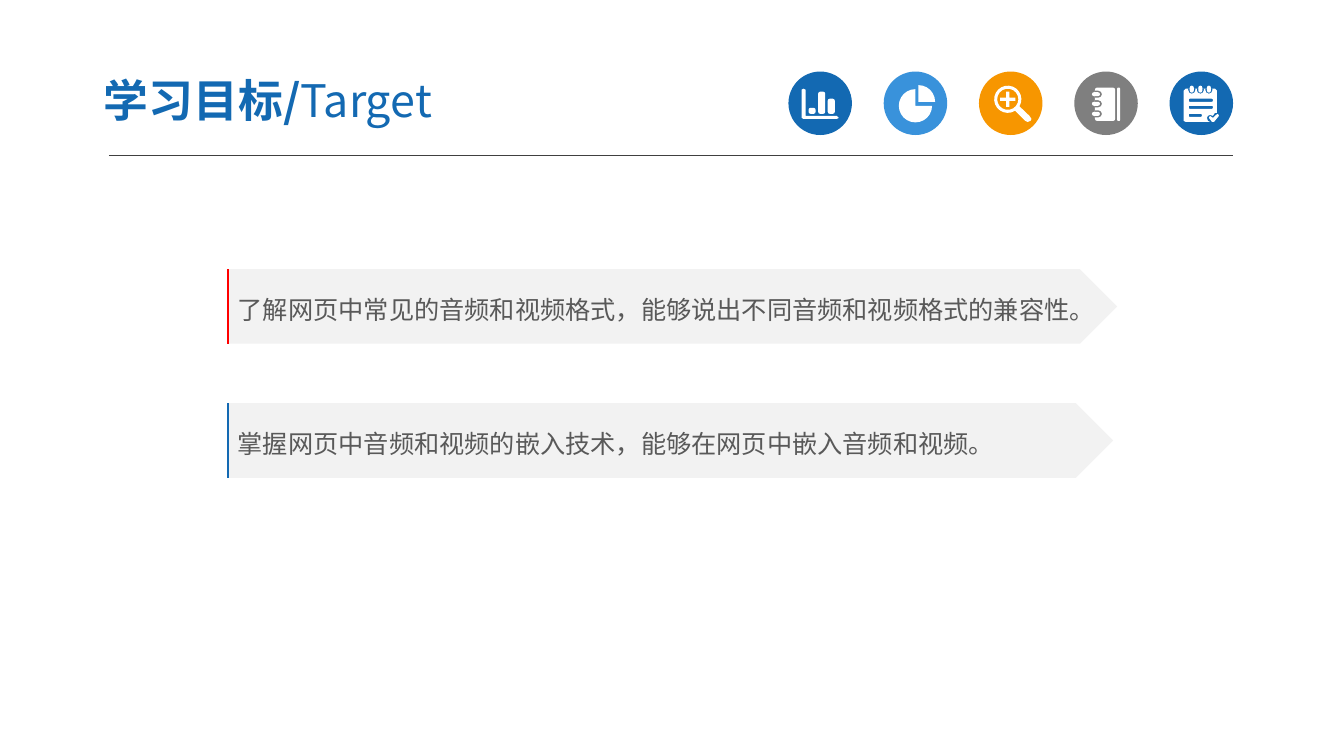
"""Build the learning-targets slide with its icon strip and two arrow bars."""
import math

import lxml.etree
import pptx
import pptx.dml.color
import pptx.enum.shapes
import pptx.enum.text
import pptx.oxml.ns
import pptx.util

Inches = pptx.util.Inches
Pt = pptx.util.Pt
RGBColor = pptx.dml.color.RGBColor
SHAPE = pptx.enum.shapes.MSO_SHAPE
qn = pptx.oxml.ns.qn

BLUE = RGBColor(0x13, 0x69, 0xB2)
SKY = RGBColor(0x39, 0x92, 0xDB)
ORANGE = RGBColor(0xF7, 0x96, 0x00)
GRAY = RGBColor(0x7F, 0x7F, 0x7F)
DARK = RGBColor(0x40, 0x40, 0x40)
RED = RGBColor(0xFF, 0x00, 0x00)
PALE = RGBColor(0xF2, 0xF2, 0xF2)
TEXT = RGBColor(0x59, 0x59, 0x59)
WHITE = RGBColor(0xFF, 0xFF, 0xFF)

FONT = "Noto Sans CJK SC"
BAR_HEIGHT = 0.74
TITLE_FRAME = {
    "margin_left": Inches(0.13), "margin_right": Inches(0.13),
    "margin_top": Inches(0.07), "margin_bottom": Inches(0.07),
    "vertical_anchor": pptx.enum.text.MSO_ANCHOR.MIDDLE,
    "auto_size": pptx.enum.text.MSO_AUTO_SIZE.NONE, "word_wrap": True,
}
BAR_FRAME = {"vertical_anchor": pptx.enum.text.MSO_ANCHOR.MIDDLE, "word_wrap": True}
LEFT = {"alignment": pptx.enum.text.PP_ALIGN.LEFT}
BAR_PARAGRAPH = {**LEFT, "line_spacing": 1.2}


def apply(target, values):
    """Set every attribute in values on target."""
    for name, value in values.items():
        setattr(target, name, value)


def add_run(p, text, size, color, bold=False):
    """Add a formatted run with Latin and East Asian fonts."""
    r = p.add_run()
    r.text = text
    apply(r.font, {"name": FONT, "size": Pt(size), "bold": bold})
    r.font.color.rgb = color
    ea = lxml.etree.SubElement(r.font._element, qn("a:ea"))
    ea.set("typeface", FONT)


def fill_flat(sp, color):
    """Give a shape a solid fill without line or shadow."""
    sp.shadow.inherit = False
    sp.fill.solid()
    sp.fill.fore_color.rgb = color
    sp.line.fill.background()


def add_shape(shapes, kind, box, color):
    """Add a flat filled preset shape."""
    sp = shapes.add_shape(kind, *map(Inches, box))
    fill_flat(sp, color)
    return sp


def add_outline(shapes, contours, close=True):
    """Add one freeform made of all the contours."""
    builder = None
    for contour in contours:
        points = [(Inches(x), Inches(y)) for x, y in contour]
        if builder is None:
            builder = shapes.build_freeform(*points[0])
        else:
            builder.move_to(*points[0])
        builder.add_line_segments(points[1:], close=close)
    return builder.convert_to_shape()


def arc(x, y, radius, start, end, steps):
    """Return points along an arc, clockwise in degrees from the right."""
    angles = [math.radians(start + (end - start) * i / steps) for i in range(steps + 1)]
    return [(x + radius * math.cos(a), y + radius * math.sin(a)) for a in angles]


def rounded(x, y, w, h, radius):
    """Return the contour of a rounded rectangle."""
    right, bottom = x + w - radius, y + h - radius
    corners = ((right, bottom), (x + radius, bottom), (x + radius, y + radius), (right, y + radius))
    return [point for i, corner in enumerate(corners)
            for point in arc(*corner, radius, 90 * i, 90 * i + 90, 2)]


def bars_contours():
    """Return the contours of the bar chart symbol."""
    axes = [(7.95, 0.89), (7.97, 0.88), (7.99, 0.89), (7.99, 1.15), (8.3, 1.15),
            (8.32, 1.17), (8.3, 1.18), (7.97, 1.18), (7.95, 1.17)]
    return [axes] + [rounded(8.02 + 0.095 * i, top, 0.07, 1.13 - top, 0.02)
                     for i, top in enumerate((1.07, 0.91, 0.98))]


def pie_contours():
    """Return the contours of the pie chart symbol."""
    return [[(9.08, 1.05)] + arc(9.08, 1.05, 0.165, 0, 270, 18),
            [(9.11, 1.01)] + arc(9.11, 1.01, 0.165, 270, 360, 6)]


def magnifier_contours():
    """Return the contours of the magnifier symbol."""
    x, y, arm, half = 9.995, 0.985, 0.075, 0.015
    handle = [(10.21, 1.15), (10.23, 1.18), (10.22, 1.2), (10.19, 1.21), (10.17, 1.2), (10.07, 1.1)]
    offsets = [(half, arm), (half, half), (arm, half)]
    plus = []
    for sx, sy in ((1, 1), (1, -1), (-1, -1), (-1, 1)):
        corner = offsets if sx == sy else offsets[::-1]
        plus += [(x + sx * dx, y + sy * dy) for dx, dy in corner]
    return [arc(x, y, 0.135, 59, 391, 20) + handle, arc(x, y, 0.105, 0, 340, 17), plus]


def notebook_contours():
    """Return the contours of the ring notebook symbol."""
    contours = [rounded(10.86, 0.87, 0.2, 0.33, 0.02), rounded(11.08, 0.87, 0.03, 0.33, 0.01)]
    for middle in (0.935, 1.03, 1.13):
        notch = [(10.86, middle - 0.035)] + arc(10.895, middle, 0.035, -90, 90, 4)
        contours += [notch + [(10.86, middle + 0.035)],
                     rounded(10.83, middle - 0.02, 0.08, 0.04, 0.02)]
    return contours


def notepad_contours():
    """Return the contours of the notepad symbol with its check mark."""
    body = [(11.74, 0.9), (11.76, 0.88), (12.05, 0.88), (12.07, 0.9), (12.07, 1.12),
            (12.05, 1.12), (12.03, 1.15), (12, 1.14), (11.98, 1.15), (11.97, 1.17),
            (11.98, 1.2), (12, 1.21), (11.76, 1.21), (11.74, 1.2)]
    check = [(11.99, 1.17), (12, 1.15), (12.03, 1.17), (12.06, 1.14), (12.08, 1.13),
             (12.09, 1.15), (12.04, 1.21), (12.02, 1.21)]
    contours = [body, check]
    for middle in (11.82, 11.905, 11.99):
        notch = [(middle + 0.035, 0.88)] + arc(middle, 0.895, 0.035, 0, 180, 4)
        contours += [notch + [(middle - 0.035, 0.88)],
                     rounded(middle - 0.02, 0.85, 0.04, 0.07, 0.02)]
    for top, width in ((0.98, 0.24), (1.05, 0.24), (1.13, 0.13)):
        contours.append(rounded(11.79, top, width, 0.03, 0.01))
    return contours


def add_icons(slide):
    """Add the evenly spaced row of round icons."""
    icons = ((BLUE, bars_contours), (SKY, pie_contours), (ORANGE, magnifier_contours),
             (GRAY, notebook_contours), (BLUE, notepad_contours))
    for i, (color, contours) in enumerate(icons):
        shapes = slide.shapes.add_group_shape().shapes
        add_shape(shapes, SHAPE.OVAL, (7.82 + 0.945 * i, 0.71, 0.63, 0.63), color)
        fill_flat(add_outline(shapes, contours()), WHITE)


def add_rule(slide):
    """Add the thin rule under the header."""
    line = slide.shapes.add_connector(pptx.enum.shapes.MSO_CONNECTOR.STRAIGHT,
                                      *map(Inches, (1.08, 1.54, 12.23, 1.54)))
    line.line.color.rgb = DARK
    line.line.width = Pt(0.75)
    lxml.etree.SubElement(line._element.spPr, qn("a:effectLst"))


def add_title(slide):
    """Place and format the title."""
    sp = slide.shapes.title
    apply(sp, {"left": Inches(0.9), "top": Inches(0.63),
               "width": Inches(5.22), "height": Inches(0.72)})
    apply(sp.text_frame, TITLE_FRAME)
    p = sp.text_frame.paragraphs[0]
    apply(p, LEFT)
    add_run(p, "学习目标/", 32, BLUE, True)
    add_run(p, "Target", 32, BLUE)


def add_target(slide, top, width, accent, text):
    """Add one arrow bar with an accent line on its left edge."""
    shapes = slide.shapes.add_group_shape().shapes
    sp = add_shape(shapes, SHAPE.PENTAGON, (2.26, top, width, BAR_HEIGHT), PALE)
    apply(sp.text_frame, BAR_FRAME)
    p = sp.text_frame.paragraphs[0]
    apply(p, BAR_PARAGRAPH)
    add_run(p, text, 18, TEXT)
    edge = add_outline(shapes, [[(2.26, top + BAR_HEIGHT), (2.26, top)]], close=False)
    edge.shadow.inherit = False
    edge.fill.background()
    edge.line.color.rgb = accent
    apply(edge.line, {"width": Pt(1.5)})
    edge.width = Inches(0.12)


def main():
    """Build and save the slide."""
    prs = pptx.Presentation()
    prs.slide_width, prs.slide_height = Inches(13.33), Inches(7.5)
    slide = prs.slides.add_slide(prs.slide_layouts[5])
    add_rule(slide)
    add_icons(slide)
    add_title(slide)
    add_target(slide, 2.67, 8.82, RED,
               "了解网页中常见的音频和视频格式，能够说出不同音频和视频格式的兼容性。")
    add_target(slide, 4, 8.78, BLUE,
               "掌握网页中音频和视频的嵌入技术，能够在网页中嵌入音频和视频。")
    prs.save("out.pptx")


if __name__ == "__main__":
    main()
